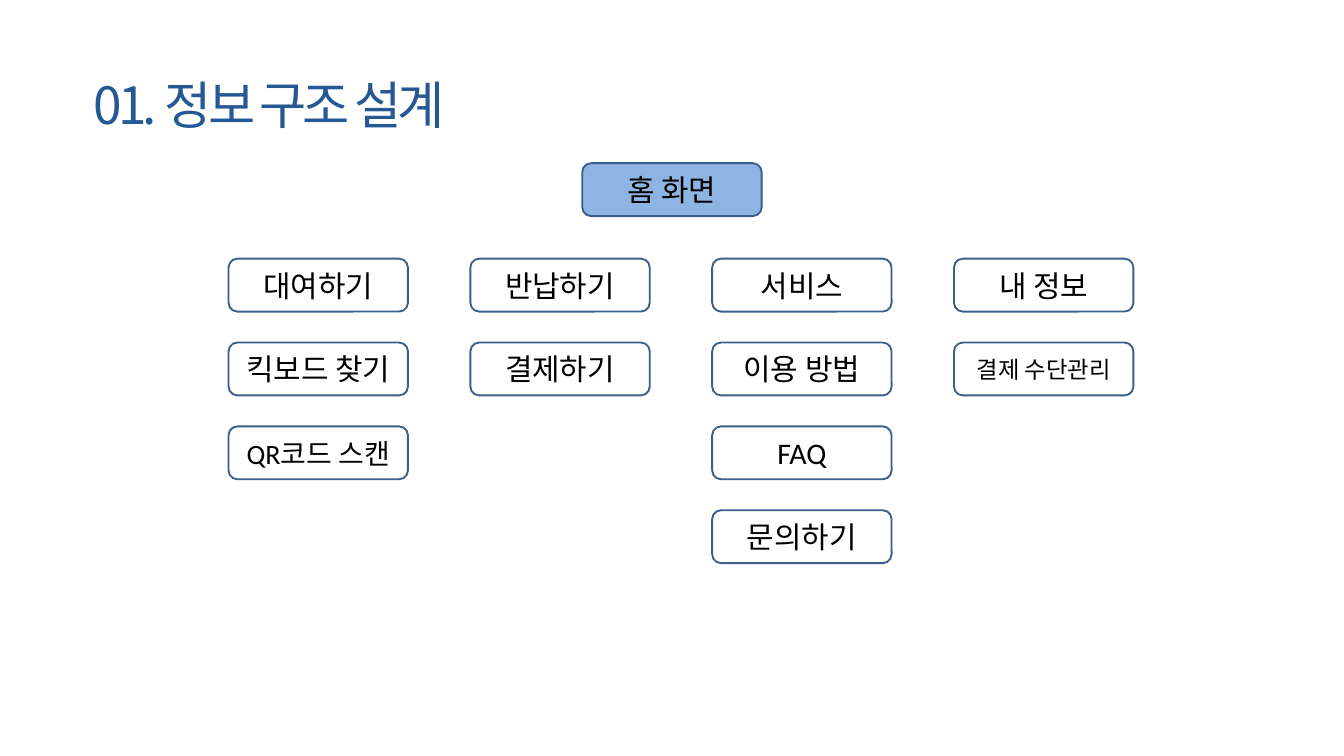
from typing import NamedTuple

from lxml.etree import SubElement
from pptx import Presentation
from pptx.dml.color import RGBColor
from pptx.enum.shapes import MSO_SHAPE as SHAPE
from pptx.enum.text import MSO_ANCHOR as ANCHOR, PP_ALIGN as ALIGN
from pptx.oxml.ns import qn
from pptx.util import Cm, Pt

TITLE_BLUE = RGBColor(0x25, 0x59, 0x94)
HOME_BLUE = RGBColor(0x8E, 0xB4, 0xE3)
BORDER = RGBColor(0x3A, 0x5F, 0x8C)
WHITE = RGBColor(0xFF, 0xFF, 0xFF)
BLACK = RGBColor(0, 0, 0)

TITLE_FONT = "Noto Sans CJK KR"
BOX_FONT = "Calibri"
BOX_W, BOX_H = 6.78, 2.0
LEFT, TOP = 8.64, 9.78
COL_STEP, ROW_STEP = 9.14, 3.17


class Screen(NamedTuple):
    label: str
    size: int = 32


HOME = Screen("홈 화면")
MENUS = [
    [Screen("대여하기"), Screen("킥보드 찾기"), Screen("QR코드 스캔", 30)],
    [Screen("반납하기"), Screen("결제하기")],
    [Screen("서비스"), Screen("이용 방법"), Screen("FAQ"), Screen("문의하기")],
    [Screen("내 정보"), Screen("결제 수단관리", 25)],
]


def add_title(slide, text: str) -> None:
    sp = slide.shapes.add_textbox(Cm(3.28), Cm(2.62), Cm(40.8), Cm(2.62))
    tf = sp.text_frame
    tf.word_wrap = True
    tf.vertical_anchor = ANCHOR.MIDDLE
    p = tf.paragraphs[0]
    p.font.size = Pt(55)
    p.font.name = TITLE_FONT
    p.font.color.rgb = TITLE_BLUE
    r = p.add_run()
    r.text = text
    props = r._r.get_or_add_rPr()
    props.set("spc", "-400")
    SubElement(props, qn("a:ea"), typeface=TITLE_FONT)


def add_box(slide, screen: Screen, left: float, top: float, fill: RGBColor = WHITE) -> None:
    sp = slide.shapes.add_shape(
        SHAPE.ROUNDED_RECTANGLE, Cm(left), Cm(top), Cm(BOX_W), Cm(BOX_H)
    )
    sp.shadow.inherit = False
    sp.fill.solid()
    sp.fill.fore_color.rgb = fill
    sp.line.color.rgb = BORDER
    sp.line.width = Pt(2)
    tf = sp.text_frame
    tf.word_wrap = True
    tf.vertical_anchor = ANCHOR.MIDDLE
    p = tf.paragraphs[0]
    p.alignment = ALIGN.CENTER
    p.font.size = Pt(screen.size)
    p.font.name = BOX_FONT
    r = p.add_run()
    r.text = screen.label
    outline = SubElement(r._r.get_or_add_rPr(), qn("a:ln"), w=str(Pt(0.75)))
    SubElement(SubElement(outline, qn("a:solidFill")), qn("a:srgbClr"), val=str(BLACK))
    r.font.color.rgb = BLACK


def main() -> None:
    prs = Presentation()
    prs.slide_width, prs.slide_height = Cm(50.8), Cm(28.58)
    slide = prs.slides.add_slide(prs.slide_layouts[6])
    add_title(slide, "01. 정보 구조 설계")
    add_box(slide, HOME, (50.8 - BOX_W) / 2, 6.17, HOME_BLUE)
    for col, menu in enumerate(MENUS):
        for row, screen in enumerate(menu):
            add_box(slide, screen, LEFT + col * COL_STEP, TOP + row * ROW_STEP)
    prs.save("out.pptx")


if __name__ == "__main__":
    main()
